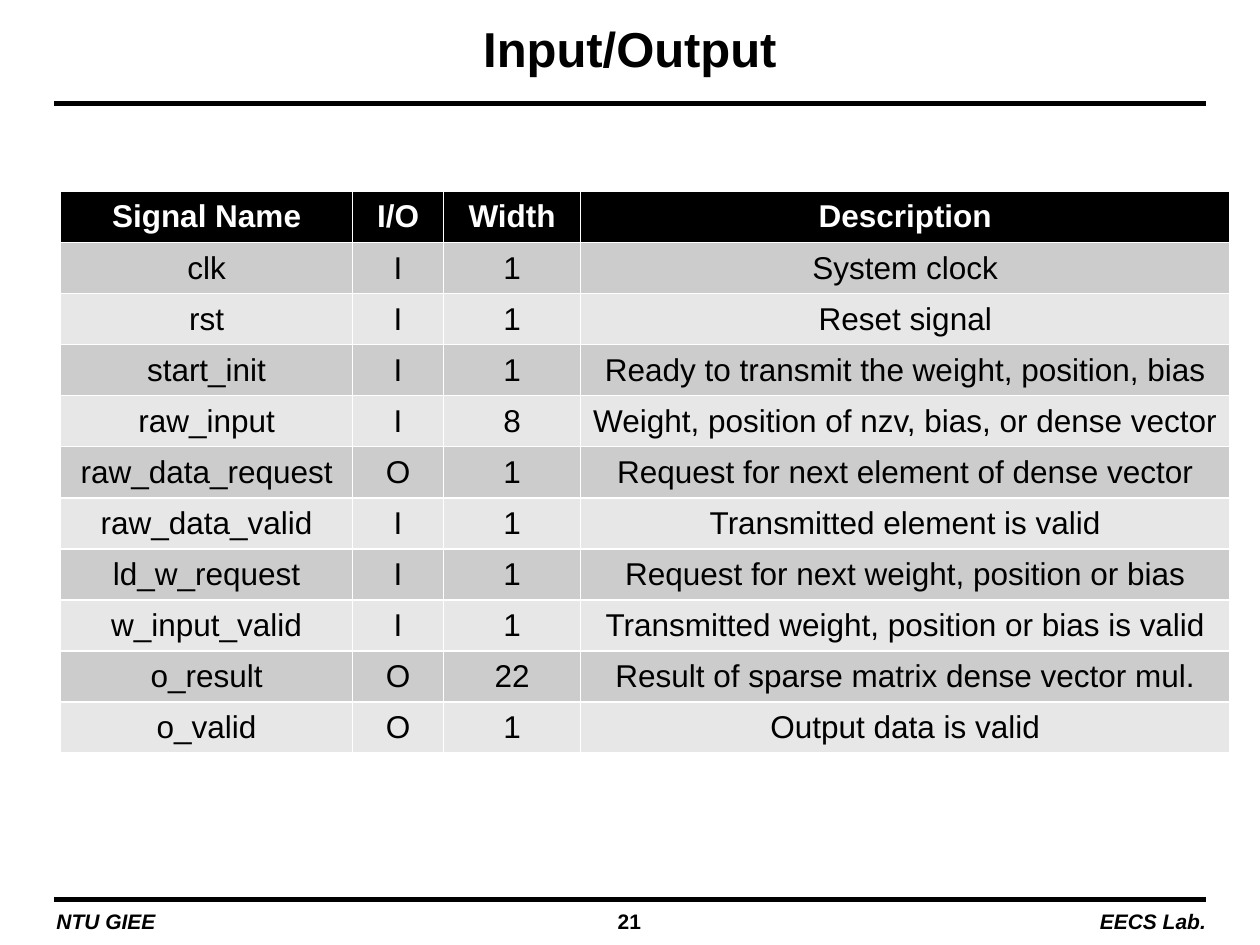
from lxml import etree
from pptx import Presentation
from pptx import util as u
from pptx.dml.color import RGBColor
from pptx.enum import shapes, text
from pptx.oxml.ns import qn

COLORS = {"ink": "000000", "paper": "FFFFFF", "odd": "CCCCCC", "even": "E7E7E7"}
ALIGN = text.PP_ALIGN

presentation = Presentation()
presentation.slide_width, presentation.slide_height = u.Inches(10), u.Inches(7.5)
slide = presentation.slides.add_slide(presentation.slide_layouts[6])

# Grid of 100 columns by 75 rows
UNIT = presentation.slide_width / 100


def grid(*counts):
    return [u.Emu(round(count * UNIT)) for count in counts]


def write(frame, words, align, color="ink", **font_format):
    paragraph = frame.paragraphs[0]
    paragraph.text = words
    paragraph.alignment = align
    paragraph.font.color.rgb = RGBColor.from_string(COLORS[color])
    for name, value in {"name": "Arial", **font_format}.items():
        setattr(paragraph.font, name, value)


# Rules above the footer and below the title
for row in (71.4, 8.2):
    rule = slide.shapes.add_connector(
        shapes.MSO_CONNECTOR.STRAIGHT, *grid(4.3, row, 95.7, row))
    rule.line.width = u.Pt(3)
    rule.line.color.rgb = RGBColor.from_string(COLORS["ink"])
    etree.SubElement(rule._element.spPr, qn("a:effectLst"))

# Title and footer
LABELS = [
    ("Input/Output", (9, 0, 82, 7.6), ALIGN.CENTER, 28, False),
    ("NTU GIEE", (3.5, 71.9, 23.3, 2.4), ALIGN.LEFT, 12, True),
    ("EECS Lab.", (65, 71.9, 31.7, 2.4), ALIGN.RIGHT, 12, True),
    ("21", (38.3, 71.9, 23.3, 2.4), ALIGN.CENTER, 12, False),
]
FRAME_FORMAT = {"word_wrap": True, "vertical_anchor": text.MSO_ANCHOR.MIDDLE,
                "margin_top": 0, "margin_bottom": 0}
for words, place, align, size, italic in LABELS:
    frame = slide.shapes.add_textbox(*grid(*place)).text_frame
    for name, value in FRAME_FORMAT.items():
        setattr(frame, name, value)
    write(frame, words, align, size=u.Pt(size), bold=True, italic=italic)

# Signal table
SIGNALS = [
    ("Signal Name", "I/O", "Width", "Description"),
    ("clk", "I", "1", "System clock"),
    ("rst", "I", "1", "Reset signal"),
    ("start_init", "I", "1", "Ready to transmit the weight, position, bias"),
    ("raw_input", "I", "8", "Weight, position of nzv, bias, or dense vector"),
    ("raw_data_request", "O", "1", "Request for next element of dense vector"),
    ("raw_data_valid", "I", "1", "Transmitted element is valid"),
    ("ld_w_request", "I", "1", "Request for next weight, position or bias"),
    ("w_input_valid", "I", "1", "Transmitted weight, position or bias is valid"),
    ("o_result", "O", "22", "Result of sparse matrix dense vector mul."),
    ("o_valid", "O", "1", "Output data is valid"),
]
COLUMNS = (23.2, 7.2, 10.9, 51.5)
CELL_FORMAT = {"vertical_anchor": text.MSO_ANCHOR.MIDDLE,
               "margin_left": u.Inches(0.08), "margin_right": u.Inches(0.08)}
table = slide.shapes.add_table(
    len(SIGNALS), len(COLUMNS), *grid(4.8, 15.2, sum(COLUMNS), 44.6)).table
for column, width in zip(table.columns, grid(*COLUMNS)):
    column.width = width

for row, signal in enumerate(SIGNALS):
    header = row == 0
    fill = "ink" if header else "odd" if row % 2 else "even"
    for column, words in enumerate(signal):
        cell = table.cell(row, column)
        for name, value in CELL_FORMAT.items():
            setattr(cell, name, value)
        cell.fill.solid()
        cell.fill.fore_color.rgb = RGBColor.from_string(COLORS[fill])
        write(cell.text_frame, words, ALIGN.CENTER,
              "paper" if header else "ink", size=u.Pt(18), bold=header)

presentation.save("out.pptx")
